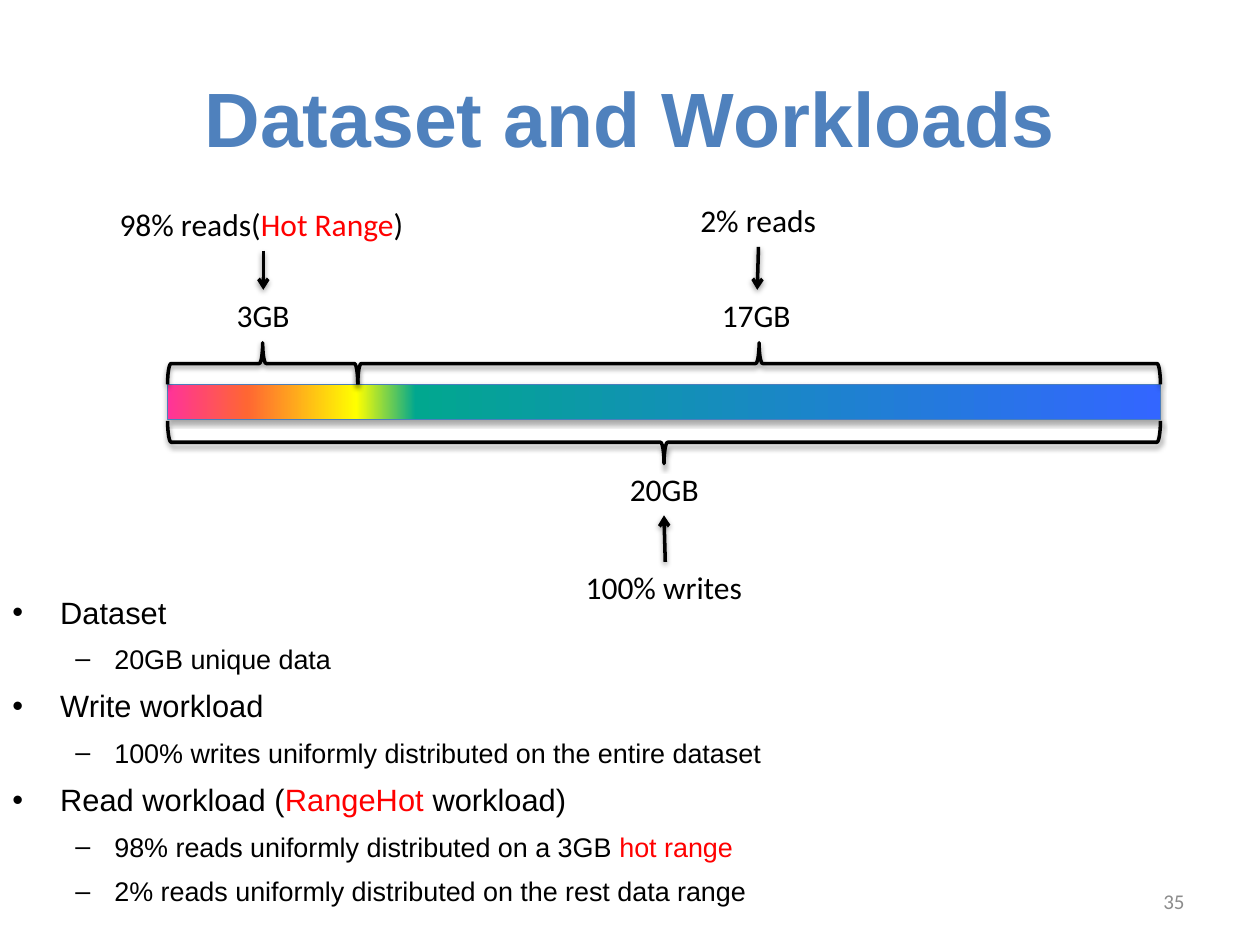
from dataclasses import dataclass
from typing import Any

import lxml.etree
import pptx
import pptx.dml.color
import pptx.enum.shapes
import pptx.enum.text
import pptx.oxml.ns
import pptx.util

Inches = pptx.util.Inches
Pt = pptx.util.Pt
Align = pptx.enum.text.PP_ALIGN
Anchor = pptx.enum.text.MSO_ANCHOR
qn = pptx.oxml.ns.qn


@dataclass(frozen=True)
class Theme:
    heading_font: str = "Arial"
    label_font: str = "Calibri"
    title: str = "4F81BD"
    text: str = "000000"
    hot: str = "FF0000"
    number: str = "8C8C8C"
    bar_line: str = "4B7EBC"
    bar_stops: tuple = ((0, "FF3399"), (8, "FF6633"), (19, "FFFF00"), (25, "01A78F"), (100, "3366FF"))
    title_size: float = 44
    label_size: float = 18
    number_size: float = 12
    level_sizes: tuple = (17.6, 15.4)


@dataclass(frozen=True)
class Run:
    text: str
    color: str = Theme.text


@dataclass(frozen=True)
class Label:
    left: float
    top: float
    width: float
    runs: tuple


@dataclass(frozen=True)
class Brace:
    left: float
    right: float
    top: float
    height: float
    rotation: int


@dataclass(frozen=True)
class Arrow:
    start: tuple
    end: tuple


@dataclass(frozen=True)
class Bullet:
    level: int
    runs: tuple


THEME = Theme()

BRACES = (
    Brace(1.33, 9.21, 3.34, 0.34, 90),
    Brace(1.33, 2.84, 2.72, 0.33, 270),
    Brace(2.84, 9.21, 2.72, 0.33, 270),
)

LABELS = (
    Label(4.9, 3.68, 0.75, (Run("20GB"),)),
    Label(1.78, 2.3, 0.63, (Run("3GB"),)),
    Label(5.63, 2.3, 0.75, (Run("17GB"),)),
    Label(0.85, 1.58, 2.48, (Run("98% reads("), Run("Hot Range", THEME.hot), Run(")"))),
    Label(5.46, 1.55, 1.13, (Run("2% reads"),)),
    Label(4.55, 4.46, 1.46, (Run("100% writes"),)),
)

ARROWS = (
    Arrow((2.09, 1.99), (2.09, 2.3)),
    Arrow((6.02, 1.96), (6.01, 2.3)),
    Arrow((5.28, 4.46), (5.27, 4.09)),
)

BULLETS = (
    Bullet(0, (Run("Dataset"),)),
    Bullet(1, (Run("20GB unique data"),)),
    Bullet(0, (Run("Write workload"),)),
    Bullet(1, (Run("100% writes uniformly distributed on the entire dataset"),)),
    Bullet(0, (Run("Read workload ("), Run("RangeHot ", THEME.hot), Run("workload)"))),
    Bullet(1, (Run("98% reads uniformly distributed on a 3GB "), Run("hot range", THEME.hot))),
    Bullet(1, (Run("2% reads uniformly distributed on the rest data range"),)),
)


def rgb(color: str) -> pptx.dml.color.RGBColor:
    return pptx.dml.color.RGBColor.from_string(color)


def apply_format(target: Any, values: dict) -> None:
    for name, value in values.items():
        setattr(target, name, value)


def add_color(parent: Any, color: str) -> Any:
    return lxml.etree.SubElement(parent, qn("a:srgbClr"), val=color)


def add_shadow(shape: Any, opacity: int, distance: float) -> None:
    effects = lxml.etree.SubElement(shape._element.spPr, qn("a:effectLst"))
    shadow = lxml.etree.SubElement(
        effects, qn("a:outerShdw"), blurRad=str(Pt(3.1)), dist=str(Pt(distance)),
        dir="5400000", rotWithShape="0")
    lxml.etree.SubElement(add_color(shadow, "000000"), qn("a:alpha"), val=str(opacity * 1000))


def set_line(shape: Any, color: str, width: float) -> None:
    shape.line.color.rgb = rgb(color)
    shape.line.width = Pt(width)


def add_runs(paragraph: Any, runs: tuple, font: str, size: float, bold: bool = False) -> None:
    for item in runs:
        run = paragraph.add_run()
        run.text = item.text
        apply_format(run.font, {"name": font, "size": Pt(size), "bold": bold})
        run.font.color.rgb = rgb(item.color)


def add_text_box(slide: Any, left: float, top: float, width: float, height: float, **values: Any) -> Any:
    box = slide.shapes.add_textbox(Inches(left), Inches(top), Inches(width), Inches(height))
    apply_format(box.text_frame, {"word_wrap": True, **values})
    return box.text_frame


def draw_title(slide: Any, text: str) -> None:
    frame = add_text_box(slide, 0.5, 0.3, 9, 1.25, vertical_anchor=Anchor.MIDDLE)
    frame.paragraphs[0].alignment = Align.CENTER
    add_runs(frame.paragraphs[0], (Run(text, THEME.title),), THEME.heading_font, THEME.title_size, True)


def draw_slide_number(slide: Any, text: str) -> None:
    frame = add_text_box(slide, 7.17, 6.95, 2.33, 0.4, vertical_anchor=Anchor.MIDDLE)
    frame.paragraphs[0].alignment = Align.RIGHT
    add_runs(frame.paragraphs[0], (Run(text, THEME.number),), THEME.label_font, THEME.number_size)


def draw_data_bar(slide: Any) -> None:
    bar = slide.shapes.add_shape(
        pptx.enum.shapes.MSO_SHAPE.RECTANGLE, Inches(1.33), Inches(3.05), Inches(7.88), Inches(0.28))
    bar.fill.gradient()
    bar.fill.gradient_angle = 0
    stops = bar._element.spPr.find(qn("a:gradFill")).find(qn("a:gsLst"))
    for stop in list(stops):
        stops.remove(stop)
    for position, color in THEME.bar_stops:
        add_color(lxml.etree.SubElement(stops, qn("a:gs"), pos=str(position * 1000)), color)
    set_line(bar, THEME.bar_line, 0.75)
    add_shadow(bar, 35, 1.8)


def draw_brace(slide: Any, brace: Brace) -> None:
    span = brace.right - brace.left
    left = (brace.left + brace.right - brace.height) / 2
    top = brace.top + (brace.height - span) / 2
    shape = slide.shapes.add_shape(
        pptx.enum.shapes.MSO_SHAPE.RIGHT_BRACE, Inches(left), Inches(top), Inches(brace.height), Inches(span))
    shape.rotation = brace.rotation
    shape.fill.background()
    set_line(shape, THEME.text, 2)
    add_shadow(shape, 38, 1.6)


def draw_label(slide: Any, label: Label) -> None:
    frame = add_text_box(slide, label.left, label.top, label.width, 0.4, word_wrap=False)
    add_runs(frame.paragraphs[0], label.runs, THEME.label_font, THEME.label_size)


def draw_arrow(slide: Any, arrow: Arrow) -> None:
    points = [Inches(value) for value in arrow.start + arrow.end]
    connector = slide.shapes.add_connector(pptx.enum.shapes.MSO_CONNECTOR.STRAIGHT, *points)
    set_line(connector, THEME.text, 2)
    lxml.etree.SubElement(connector.line._get_or_add_ln(), qn("a:tailEnd"), type="arrow")
    add_shadow(connector, 38, 1.6)


def draw_bullets(slide: Any, bullets: tuple) -> None:
    frame = add_text_box(slide, 0, 4.66, 7.76, 2.69)
    levels = (("•", 0.38, -0.38), ("–", 0.81, -0.31))
    for index, bullet in enumerate(bullets):
        paragraph = frame.add_paragraph() if index else frame.paragraphs[0]
        mark, margin, indent = levels[bullet.level]
        apply_format(paragraph, {"level": bullet.level, "space_before": Pt(7 if index else 0)})
        properties = paragraph._p.get_or_add_pPr()
        properties.set("marL", str(Inches(margin)))
        properties.set("indent", str(Inches(indent)))
        lxml.etree.SubElement(properties, qn("a:buFont"), typeface=THEME.heading_font)
        lxml.etree.SubElement(properties, qn("a:buChar"), char=mark)
        add_runs(paragraph, bullet.runs, THEME.heading_font, THEME.level_sizes[bullet.level])


def main() -> None:
    presentation = pptx.Presentation()
    apply_format(presentation, {"slide_width": Inches(10), "slide_height": Inches(7.5)})
    slide = presentation.slides.add_slide(presentation.slide_layouts[6])
    draw_title(slide, "Dataset and Workloads")
    draw_slide_number(slide, "35")
    draw_data_bar(slide)
    for draw, items in ((draw_brace, BRACES), (draw_label, LABELS), (draw_arrow, ARROWS)):
        for item in items:
            draw(slide, item)
    draw_bullets(slide, BULLETS)
    presentation.save("out.pptx")


if __name__ == "__main__":
    main()
